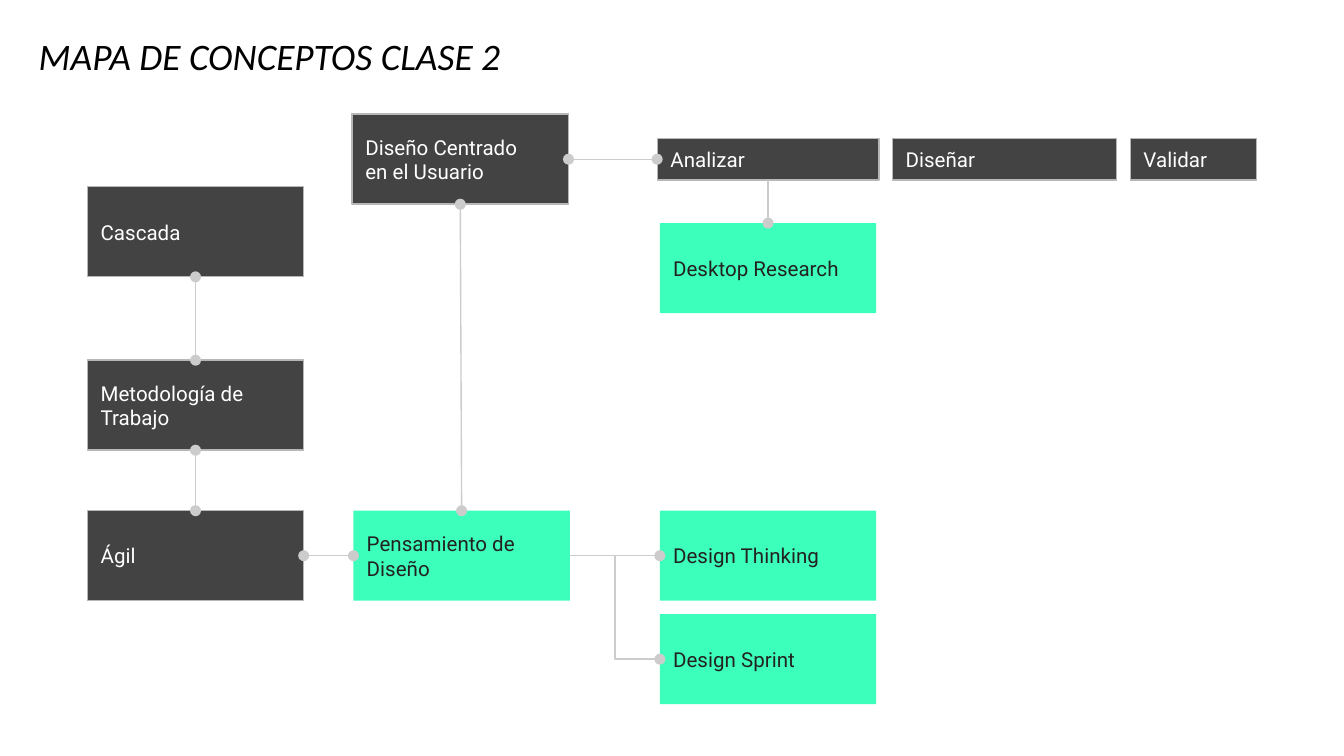
import dataclasses

import pptx
import pptx.dml.color
import pptx.enum.shapes
import pptx.enum.text
import pptx.oxml
import pptx.oxml.ns
import pptx.util

Inches = pptx.util.Inches
Pt = pptx.util.Pt
CONNECTOR = pptx.enum.shapes.MSO_CONNECTOR
ANCHOR = pptx.enum.text.MSO_ANCHOR

COLORS = {
    "title": "000000",
    "dark": "434343",
    "border": "B7B7B7",
    "mint": "3DFFBC",
    "on_dark": "FFFFFF",
    "on_mint": "222222",
    "link": "CCCCCC",
}
BOX_W, BOX_H, STEP_H = 1.61, 0.67, 0.31
COL_1, COL_2, COL_3 = 0.65, 2.63, 4.91
BOTTOM_ROW = 3.8
TOP, LEFT, BOTTOM, RIGHT = range(4)


@dataclasses.dataclass
class Box:
    text: str
    x: float
    y: float
    w: float = BOX_W
    h: float = BOX_H
    mint: bool = False


@dataclasses.dataclass
class Link:
    start: str
    start_side: int
    end: str
    end_side: int
    start_dot: bool = True
    kind: CONNECTOR = CONNECTOR.STRAIGHT


BOXES = {
    "method": Box("Metodología de Trabajo", COL_1, 2.68),
    "thinking": Box("Pensamiento de Diseño", COL_2, BOTTOM_ROW, mint=True),
    "design_thinking": Box("Design Thinking", COL_3, BOTTOM_ROW, mint=True),
    "sprint": Box("Design Sprint", COL_3, 4.57, mint=True),
    "waterfall": Box("Cascada", COL_1, 1.39),
    "agile": Box("Ágil", COL_1, BOTTOM_ROW),
    "research": Box("Desktop Research", COL_3, 1.66, mint=True),
    "analyse": Box("Analizar", 4.89, 1.03, 1.65, STEP_H),
    "design": Box("Diseñar", 6.64, 1.03, 1.67, STEP_H),
    "validate": Box("Validar", 8.41, 1.03, 0.94, STEP_H),
    "user_centred": Box("Diseño Centrado\nen el Usuario", 2.62, 0.85),
}

LINKS = [
    Link("method", BOTTOM, "agile", TOP),
    Link("method", TOP, "waterfall", BOTTOM),
    Link("agile", RIGHT, "thinking", LEFT),
    Link("user_centred", RIGHT, "analyse", LEFT),
    Link("analyse", BOTTOM, "research", TOP, start_dot=False),
    Link("thinking", TOP, "user_centred", BOTTOM),
    Link("thinking", RIGHT, "design_thinking", LEFT, start_dot=False),
    Link("thinking", RIGHT, "sprint", LEFT, start_dot=False, kind=CONNECTOR.ELBOW),
]


def rgb(name: str) -> pptx.dml.color.RGBColor:
    return pptx.dml.color.RGBColor.from_string(COLORS[name])


def set_text(sp, text: str, font: str, size: float, color: str,
             anchor: ANCHOR, italic: bool = False) -> None:
    tf = sp.text_frame
    tf.word_wrap = True
    tf.vertical_anchor = anchor
    tf.margin_left = tf.margin_right = Inches(0.1)
    tf.margin_top = tf.margin_bottom = Inches(0.1)
    tf.text = text
    for p in tf.paragraphs:
        p.alignment = pptx.enum.text.PP_ALIGN.LEFT
        for r in p.runs:
            r.font.name = font
            r.font.size = Pt(size)
            r.font.italic = italic
            r.font.color.rgb = rgb(color)


def add_box(s, box: Box):
    sp = s.shapes.add_shape(pptx.enum.shapes.MSO_SHAPE.RECTANGLE, Inches(box.x),
                            Inches(box.y), Inches(box.w), Inches(box.h))
    sp.shadow.inherit = False
    sp.fill.solid()
    sp.fill.fore_color.rgb = rgb("mint" if box.mint else "dark")
    if box.mint:
        sp.line.fill.background()
    else:
        sp.line.color.rgb = rgb("border")
        sp.line.width = Pt(0.75)
    set_text(sp, box.text, "Roboto", 11, "on_mint" if box.mint else "on_dark",
             ANCHOR.MIDDLE)
    return sp


def add_link(s, link: Link, shapes: dict) -> None:
    cxn = s.shapes.add_connector(link.kind, 0, 0, 0, 0)
    cxn.begin_connect(shapes[link.start], link.start_side)
    cxn.end_connect(shapes[link.end], link.end_side)
    cxn.line.color.rgb = rgb("link")
    cxn.line.width = Pt(0.75)
    # Round dots at the ends, and no shadow
    ln = cxn.line._get_or_add_ln()
    for tag in (["a:headEnd"] if link.start_dot else []) + ["a:tailEnd"]:
        dot = pptx.oxml.parse_xml(
            f'<{tag} {pptx.oxml.ns.nsdecls("a")} type="oval" w="med" len="med"/>')
        ln.append(dot)
    cxn._element.spPr.append(
        pptx.oxml.parse_xml(f'<a:effectLst {pptx.oxml.ns.nsdecls("a")}/>'))


def main() -> None:
    prs = pptx.Presentation()
    # Widescreen, 16:9
    prs.slide_width = Inches(10)
    prs.slide_height = Inches(10 * 9 / 16)
    s = prs.slides.add_slide(prs.slide_layouts[6])

    # Title
    title = s.shapes.add_textbox(Inches(0.19), Inches(0.22), Inches(8.26), Inches(0.46))
    set_text(title, "MAPA DE CONCEPTOS CLASE 2", "Calibri", 20, "title",
             ANCHOR.BOTTOM, italic=True)

    # Concepts and the links between them
    shapes = {name: add_box(s, box) for name, box in BOXES.items()}
    for link in LINKS:
        add_link(s, link, shapes)

    prs.save("out.pptx")


if __name__ == "__main__":
    main()
